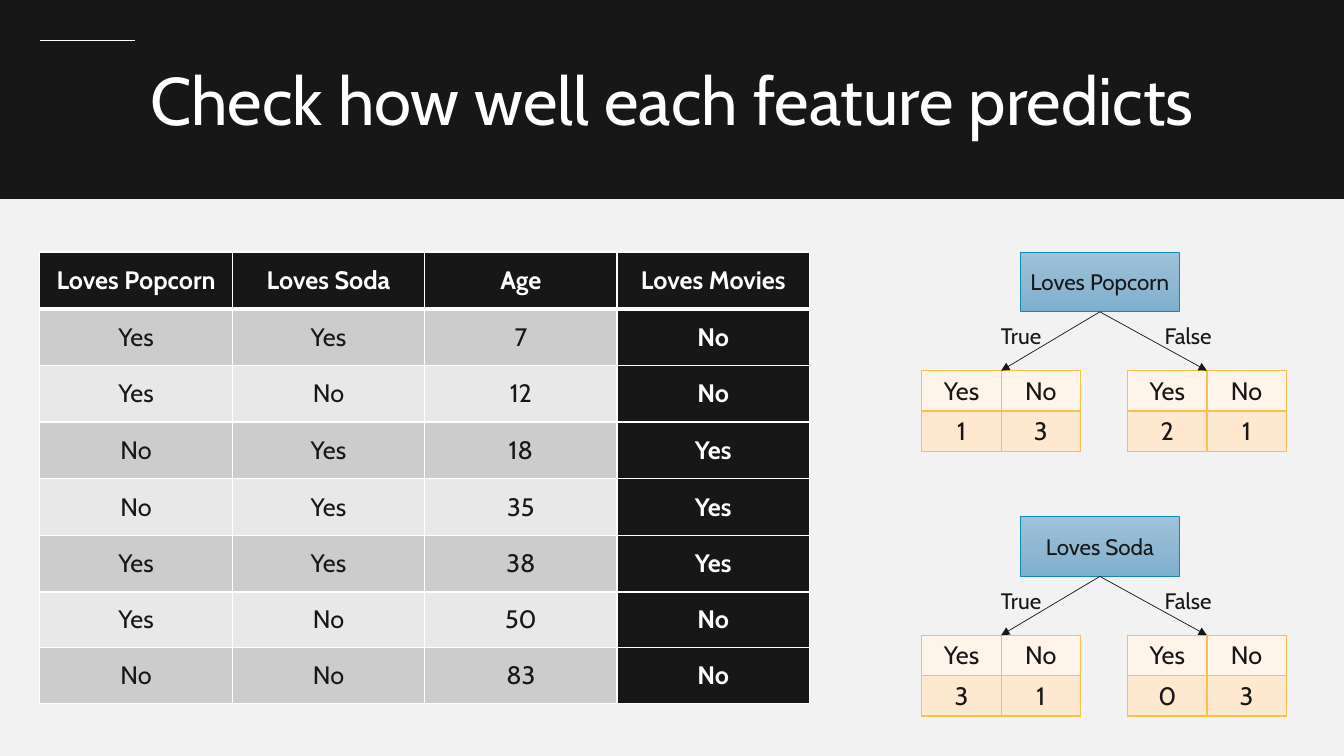
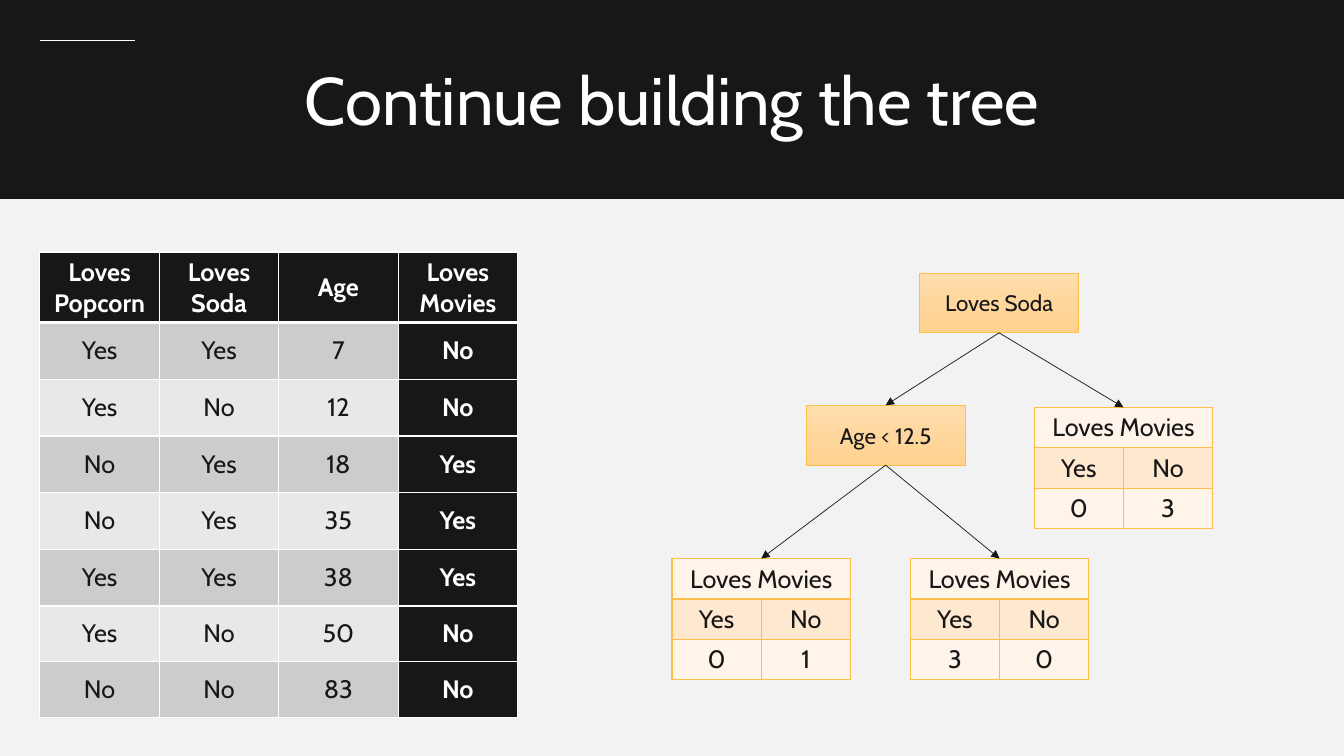
from copy import deepcopy

from lxml.etree import SubElement
from pptx import Presentation
from pptx.dml.color import RGBColor
from pptx.enum.shapes import MSO_CONNECTOR as Connector, MSO_SHAPE as Shape
from pptx.enum.text import MSO_ANCHOR as Anchor, MSO_AUTO_SIZE as AutoSize, PP_ALIGN as Align
from pptx.oxml.ns import qn
from pptx.util import Pt

PX = 9525
PAGE_WIDTH, PAGE_HEIGHT = 1280, 720
MARGIN = 38
NODE_WIDTH, NODE_HEIGHT = 151, 57
DATA_TOP, DATA_HEIGHT = 240, 429
TREE_STEP = 252

FONT = "Cabin"
INK = RGBColor(0x18, 0x17, 0x17)
WHITE = RGBColor(0xFF, 0xFF, 0xFF)
PAPER = RGBColor(0xF2, 0xF2, 0xF2)
GREYS = [RGBColor(0xE8, 0xE8, 0xE8), RGBColor(0xCC, 0xCC, 0xCC)]
CREAMS = [RGBColor(0xFE, 0xF4, 0xE9), RGBColor(0xFE, 0xE8, 0xD0)]
AMBER = RGBColor(0xFC, 0xBF, 0x49)
TEAL = RGBColor(0x11, 0x8A, 0xB2)
BLUE_FADE = [RGBColor(0x9E, 0xC3, 0xDC), RGBColor(0x91, 0xB8, 0xD2), RGBColor(0x7C, 0xB0, 0xD0)]
AMBER_FADE = [RGBColor(0xFF, 0xDE, 0xAD), RGBColor(0xFF, 0xD7, 0x9E), RGBColor(0xFF, 0xD2, 0x8D)]

PEOPLE = [
    ["Loves Popcorn", "Loves Soda", "Age", "Loves Movies"],
    ["Yes", "Yes", "7", "No"],
    ["Yes", "No", "12", "No"],
    ["No", "Yes", "18", "Yes"],
    ["No", "Yes", "35", "Yes"],
    ["Yes", "Yes", "38", "Yes"],
    ["Yes", "No", "50", "No"],
    ["No", "No", "83", "No"],
]

# Links pair a node's index with its child's index, counting nodes first and then tables.
SLIDES = [
    {
        "title": "Check how well each feature predicts", "title_width": 1014,
        "data_width": 733, "header_height": 54,
        "fade": BLUE_FADE, "node_line": TEAL,
        "nodes": [("Loves Popcorn", 972, 240), ("Loves Soda", 972, 240 + TREE_STEP)],
        "count_width": 151, "count_heading": [],
        "counts": [("1", "3", 878, 353), ("2", "1", 1074, 353),
                   ("3", "1", 878, 353 + TREE_STEP), ("0", "3", 1074, 353 + TREE_STEP)],
        "links": [(0, 2), (0, 3), (1, 4), (1, 5)],
        "labels": [(text, left, 302 + step) for step in (0, TREE_STEP)
                   for text, left in (("True", 916), ("False", 1075))],
    },
    {
        "title": "Continue building the tree", "title_width": 838,
        "data_width": 455, "header_height": 66,
        "fade": AMBER_FADE, "node_line": AMBER,
        "nodes": [("Loves Soda", 876, 260), ("Age < 12.5", 768, 386)],
        "count_width": 170, "count_heading": [["Loves Movies"]],
        "counts": [("0", "1", 640, 532), ("3", "0", 867, 532), ("0", "3", 985, 388)],
        "links": [(0, 1), (0, 4), (1, 3), (1, 2)],
        "labels": [],
    },
]


def write(frame, text, size, colour=INK, bold=False):
    """Put one centred run into the first paragraph of a text frame."""
    para = frame.paragraphs[0]
    para.alignment = Align.CENTER
    span = para.add_run()
    span.text = text
    span.font.name = FONT
    span.font.size = Pt(size)
    span.font.bold = bold
    span.font.color.rgb = colour


def add_grid(page, left, top, width, heights, rows, stripes, edge, strong=False):
    """Add a striped table; strong darkens its header row and last column.

    A row that holds a single text spans all columns.
    """
    columns = len(rows[-1])
    frame = page.shapes.add_table(len(rows), columns, left * PX, top * PX,
                                  width * PX, sum(heights) * PX)
    table = frame.table
    table.first_row = strong
    table.horz_banding = False
    for column in table.columns:
        column.width = width * PX // columns
    for r, texts in enumerate(rows):
        table.rows[r].height = heights[r] * PX
        if len(texts) == 1:
            table.cell(r, 0).merge(table.cell(r, columns - 1))
        for c in range(columns):
            cell = table.cell(r, c)
            cell.vertical_anchor = Anchor.MIDDLE
            dark = strong and (r == 0 or c == columns - 1)
            for side in ("L", "R", "T", "B"):
                under_header = strong and (r, side) in ((0, "B"), (1, "T"))
                border = SubElement(cell._tc.get_or_add_tcPr(), qn(f"a:ln{side}"),
                                    w=str(Pt(3 if under_header else 1)))
                SubElement(SubElement(border, qn("a:solidFill")), qn("a:srgbClr"), val=str(edge))
            cell.fill.solid()
            cell.fill.fore_color.rgb = INK if dark else stripes[r % 2]
            if c < len(texts):
                write(cell.text_frame, texts[c], 18, WHITE if dark else INK, dark)
    return frame


deck = Presentation()
deck.slide_width = PAGE_WIDTH * PX
deck.slide_height = PAGE_HEIGHT * PX

for content in SLIDES:
    page = deck.slides.add_slide(deck.slide_layouts[6])
    page.background.fill.solid()
    page.background.fill.fore_color.rgb = PAPER

    band = page.shapes.add_shape(Shape.RECTANGLE, 0, 0, PAGE_WIDTH * PX, 189 * PX)
    band.shadow.inherit = False
    band.fill.solid()
    band.fill.fore_color.rgb = INK
    band.line.color.rgb = INK
    band.line.width = Pt(1)

    title_left = (PAGE_WIDTH - content["title_width"]) // 2
    boxes = [(content["title"], title_left, 51, content["title_width"], 87, 48, WHITE)]
    boxes += [(text, left, top, 113, 36, 16, INK) for text, left, top in content["labels"]]
    for text, left, top, width, height, size, colour in boxes:
        box = page.shapes.add_textbox(left * PX, top * PX, width * PX, height * PX)
        box.text_frame.word_wrap = True
        box.text_frame.auto_size = AutoSize.SHAPE_TO_FIT_TEXT
        write(box.text_frame, text, size, colour)

    row_height = DATA_HEIGHT // len(PEOPLE)
    spare = DATA_HEIGHT % len(PEOPLE)
    body = [row_height + (r < spare) for r in range(len(PEOPLE) - 1)]
    add_grid(page, MARGIN, DATA_TOP, content["data_width"],
             [content["header_height"], *body], PEOPLE, GREYS, WHITE, strong=True)

    parts = []
    for text, left, top in content["nodes"]:
        node = page.shapes.add_shape(Shape.RECTANGLE, left * PX, top * PX,
                                     NODE_WIDTH * PX, NODE_HEIGHT * PX)
        node.shadow.inherit = False
        node.fill.gradient()
        node.fill.gradient_angle = 270
        stop_list = node._element.spPr.find(".//" + qn("a:gsLst"))
        stop_list.insert(1, deepcopy(stop_list[0]))
        for stop, colour, position in zip(node.fill.gradient_stops, content["fade"], (0, 0.5, 1)):
            stop.color.rgb = colour
            stop.position = position
        node.line.color.rgb = content["node_line"]
        node.line.width = Pt(0.5)
        node.text_frame.word_wrap = False
        node.text_frame.vertical_anchor = Anchor.MIDDLE
        write(node.text_frame, text, 16)
        parts.append(node)

    for yes, no, left, top in content["counts"]:
        rows = [*content["count_heading"], ["Yes", "No"], [yes, no]]
        parts.append(add_grid(page, left, top, content["count_width"],
                              [38] * len(rows), rows, CREAMS, AMBER))

    rule = page.shapes.add_connector(Connector.STRAIGHT, MARGIN * PX, MARGIN * PX,
                                     129 * PX, MARGIN * PX)
    lines = [(rule, WHITE)]
    for parent, child in content["links"]:
        start, end = parts[parent], parts[child]
        arrow = page.shapes.add_connector(
            Connector.STRAIGHT, start.left + start.width // 2, start.top + start.height,
            end.left + end.width // 2, end.top)
        arrow.begin_connect(start, 2)
        if not end.has_table:
            end_site = 0
            arrow.end_connect(end, end_site)
        lines.append((arrow, INK))
    for line, colour in lines:
        line.line.color.rgb = colour
        line.line.width = Pt(0.5)
        outline = line._element.spPr
        if line is not rule:
            SubElement(outline.find(qn("a:ln")), qn("a:tailEnd"), type="triangle")
        SubElement(outline, qn("a:effectLst"))

deck.save("out.pptx")
